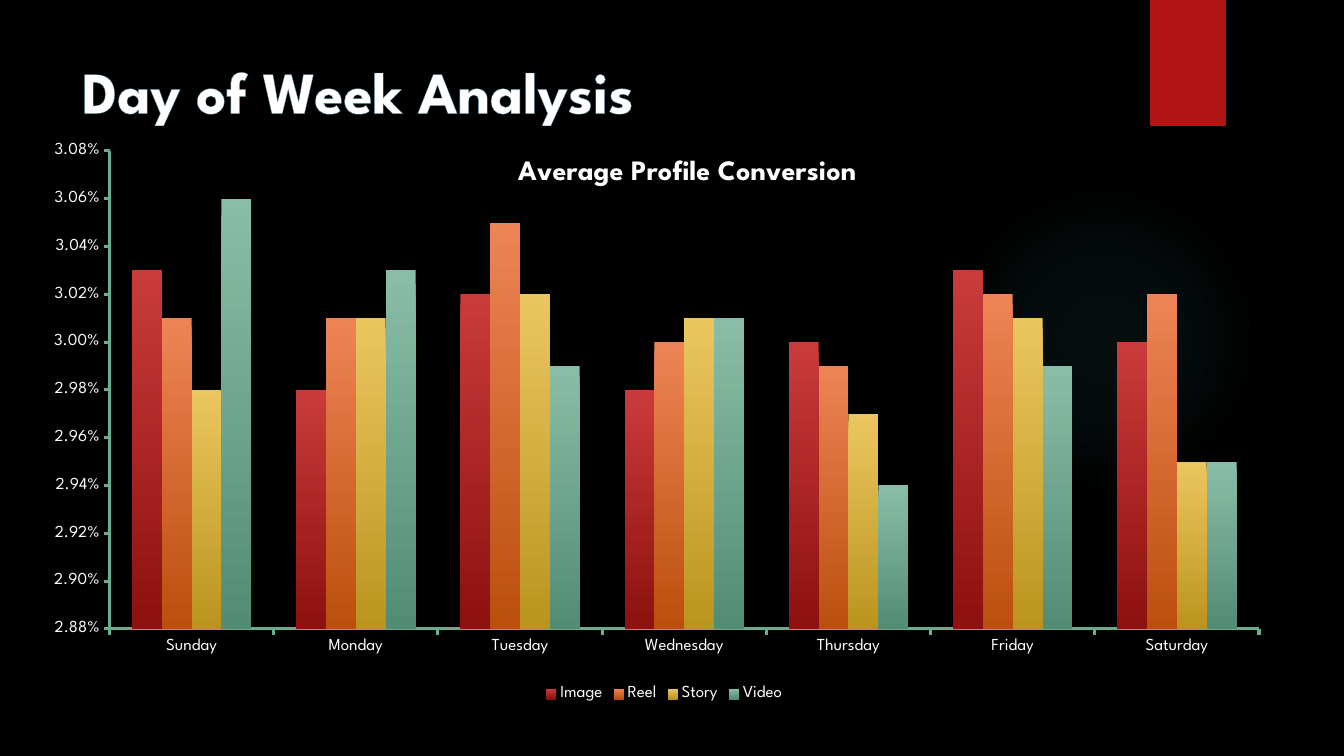
import dataclasses

import lxml.etree
import pptx
import pptx.chart.data
import pptx.dml.color
import pptx.enum.chart
import pptx.enum.shapes
import pptx.enum.text
import pptx.oxml
import pptx.oxml.ns
import pptx.util

PX = 914400 / 100.8
NS = pptx.oxml.ns.nsdecls("a")
NS_CHART = pptx.oxml.ns.nsdecls("c")


@dataclasses.dataclass(frozen=True)
class Theme:
    font: str = "League Spartan"
    background: str = "000000"
    text: str = "FFFFFF"
    outline: str = "54849A"
    accent: str = "B01513"
    glow: str = "50B9C1"
    axis: str = "6AAC90"
    title_size: int = 42
    chart_title_size: int = 20
    label_size: int = 12
    axis_width: float = 2.25


THEME = Theme()

DAYS = ["Sunday", "Monday", "Tuesday", "Wednesday", "Thursday", "Friday", "Saturday"]
SERIES = [
    ("Image", [3.03, 2.98, 3.02, 2.98, 3.00, 3.03, 3.00], "C93B3A", "8D110F"),
    ("Reel", [3.01, 3.01, 3.05, 3.00, 2.99, 3.02, 3.02], "EE8455", "BC4F0E"),
    ("Story", [2.98, 3.01, 3.02, 3.01, 2.97, 3.01, 2.95], "EBC65F", "BB941F"),
    ("Video", [3.06, 3.03, 2.99, 3.01, 2.94, 2.99, 2.95], "89BDA7", "538C74"),
]
CHART_BOX = (54, 129, 1219, 577)
PLOT_BOX = (108, 151, 1151, 478)
CHART_TITLE_AT = (512, 152)


def px(n):
    return pptx.util.Emu(round(n * PX))


def rgb(color):
    return pptx.dml.color.RGBColor.from_string(color)


def style_font(font, size, bold=False):
    font.name = THEME.font
    font.size = pptx.util.Pt(size)
    font.bold = bold
    font.color.rgb = rgb(THEME.text)


def add_shape(s, kind, box):
    sp = s.shapes.add_shape(kind, *map(px, box))
    sp.shadow.inherit = False
    sp.line.fill.background()
    return sp


def add_glow(s, box):
    sp = add_shape(s, pptx.enum.shapes.MSO_SHAPE.OVAL, box)
    sp.fill.background()
    stops = "".join(
        f'<a:gs pos="{pos * 1000}"><a:srgbClr val="{THEME.glow}">'
        f'<a:alpha val="{alpha * 1000}"/></a:srgbClr></a:gs>'
        for pos, alpha in [(0, 7), (36, 6), (69, 0)]
    )
    grad = pptx.oxml.parse_xml(
        f'<a:gradFill {NS}><a:gsLst>{stops}</a:gsLst><a:path path="circle">'
        '<a:fillToRect l="50000" t="50000" r="50000" b="50000"/></a:path></a:gradFill>'
    )
    sp_pr = sp._element.spPr
    sp_pr.replace(sp_pr.find(pptx.oxml.ns.qn("a:noFill")), grad)


def add_ribbon(s, box):
    sp = add_shape(s, pptx.enum.shapes.MSO_SHAPE.RECTANGLE, box)
    sp.fill.solid()
    sp.fill.fore_color.rgb = rgb(THEME.accent)
    effects = sp._element.spPr.find(pptx.oxml.ns.qn("a:effectLst"))
    effects.append(pptx.oxml.parse_xml(
        f'<a:outerShdw {NS} blurRad="38100" dist="25400" dir="5400000" rotWithShape="0">'
        '<a:srgbClr val="000000"><a:alpha val="45000"/></a:srgbClr></a:outerShdw>'
    ))


def set_title(s, text, box):
    sp = s.shapes.title
    sp.left, sp.top, sp.width, sp.height = map(px, box)
    tf = sp.text_frame
    tf.word_wrap = True
    tf.vertical_anchor = pptx.enum.text.MSO_ANCHOR.MIDDLE
    p = tf.paragraphs[0]
    p.alignment = pptx.enum.text.PP_ALIGN.LEFT
    r = p.add_run()
    r.text = text
    style_font(r.font, THEME.title_size, True)
    r._r.get_or_add_rPr().insert(0, pptx.oxml.parse_xml(
        f'<a:ln {NS} w="10160"><a:solidFill><a:srgbClr val="{THEME.outline}"/>'
        '</a:solidFill></a:ln>'
    ))


def style_axis(axis):
    axis.has_major_gridlines = False
    axis.major_tick_mark = pptx.enum.chart.XL_TICK_MARK.OUTSIDE
    axis.minor_tick_mark = pptx.enum.chart.XL_TICK_MARK.NONE
    axis.format.line.color.rgb = rgb(THEME.axis)
    axis.format.line.width = pptx.util.Pt(THEME.axis_width)
    style_font(axis.tick_labels.font, THEME.label_size)


def manual_layout(**values):
    items = "".join(f'<c:{key} val="{value}"/>' for key, value in values.items())
    return pptx.oxml.parse_xml(
        f'<c:layout {NS_CHART}><c:manualLayout>{items}</c:manualLayout></c:layout>'
    )


def place_parts(chart):
    left, top, width, height = CHART_BOX
    x, y, w, h = PLOT_BOX
    plot_area = chart._chartSpace.chart.plotArea
    for old in plot_area.findall(pptx.oxml.ns.qn("c:layout")):
        plot_area.remove(old)
    plot_area.insert(0, manual_layout(
        layoutTarget="inner", xMode="edge", yMode="edge",
        x=(x - left) / width, y=(y - top) / height, w=w / width, h=h / height,
    ))
    x, y = CHART_TITLE_AT
    title = chart.chart_title._element
    for old in title.findall(pptx.oxml.ns.qn("c:layout")):
        title.remove(old)
    title.find(pptx.oxml.ns.qn("c:tx")).addnext(manual_layout(
        xMode="edge", yMode="edge", x=(x - left) / width, y=(y - top) / height,
    ))


def add_conversion_chart(s):
    data = pptx.chart.data.CategoryChartData(number_format="0.00%")
    data.categories = DAYS
    for name, percents, _, _ in SERIES:
        data.add_series(name, [round(v / 100, 4) for v in percents])
    kind = pptx.enum.chart.XL_CHART_TYPE.COLUMN_CLUSTERED
    chart = s.shapes.add_chart(kind, *map(px, CHART_BOX), data).chart
    style_font(chart.font, THEME.label_size)

    plot = chart.plots[0]
    plot.gap_width = 150
    plot.overlap = 0
    plot.vary_by_categories = False
    for series, (_, _, light, dark) in zip(plot.series, SERIES):
        fill = series.format.fill
        fill.gradient()
        fill.gradient_angle = 270
        for stop, color in zip(fill.gradient_stops, (light, dark)):
            stop.color.rgb = rgb(color)

    style_axis(chart.category_axis)
    axis = chart.value_axis
    style_axis(axis)
    axis.minimum_scale, axis.maximum_scale, axis.major_unit = 0.0288, 0.0308, 0.0002
    axis.tick_labels.number_format = "0.00%"
    axis.tick_labels.number_format_is_linked = False

    chart.has_legend = True
    chart.legend.position = pptx.enum.chart.XL_LEGEND_POSITION.BOTTOM
    chart.legend.include_in_layout = False
    style_font(chart.legend.font, THEME.label_size)

    chart.has_title = True
    r = chart.chart_title.text_frame.paragraphs[0].add_run()
    r.text = "Average Profile Conversion"
    style_font(r.font, THEME.chart_title_size, True)
    place_parts(chart)


def main():
    prs = pptx.Presentation()
    prs.slide_width, prs.slide_height = px(1344), px(756)
    s = prs.slides.add_slide(prs.slide_layouts[5])
    s.background.fill.solid()
    s.background.fill.fore_color.rgb = rgb(THEME.background)
    add_glow(s, (949, 184, 310, 310))
    add_ribbon(s, (1150, 0, 76, 126))
    set_title(s, "Day of Week Analysis", (72, 50, 1037, 80))
    add_conversion_chart(s)
    prs.save("out.pptx")


if __name__ == "__main__":
    main()
